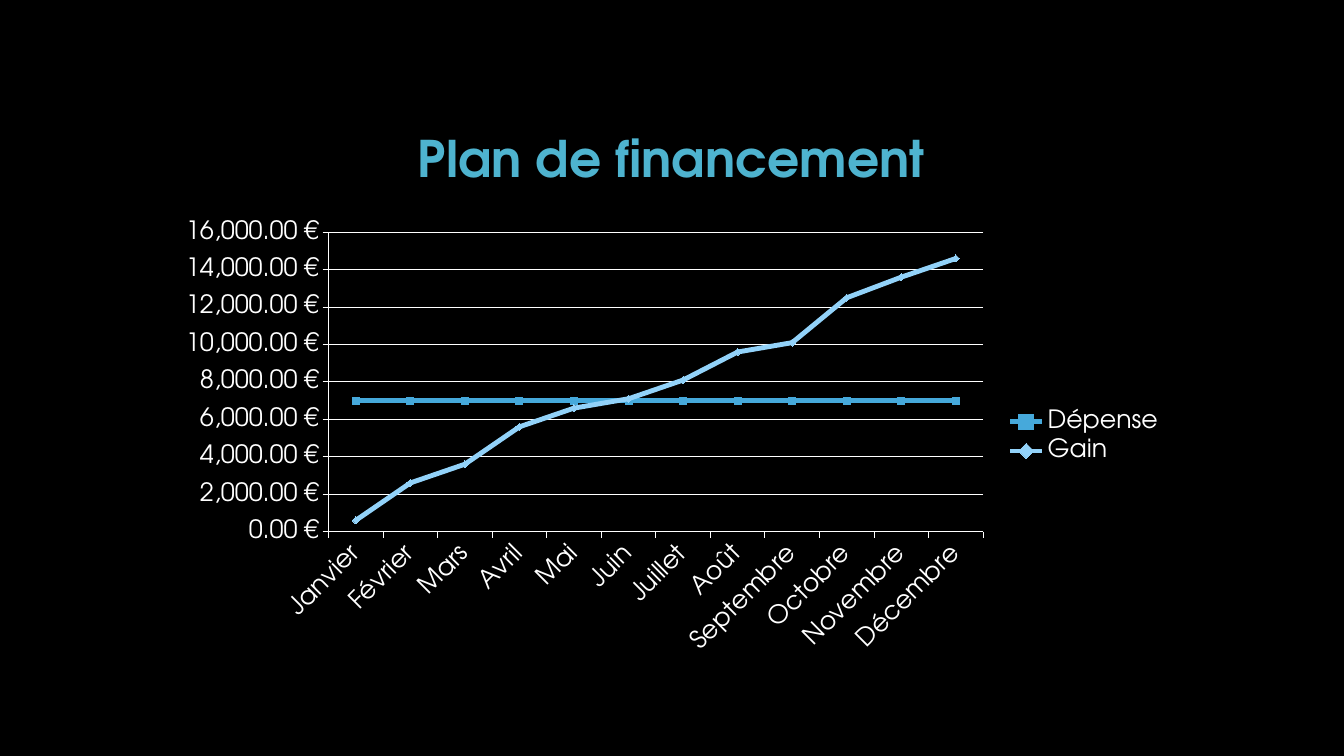
import pptx
import pptx.chart.data
import pptx.dml.color
import pptx.enum.chart
import pptx.enum.text
import pptx.oxml
import pptx.oxml.ns
import pptx.util

TITLE = "Plan de financement"
MONTHS = ["Janvier", "Février", "Mars", "Avril", "Mai", "Juin", "Juillet",
          "Août", "Septembre", "Octobre", "Novembre", "Décembre"]
SERIES = {
    "Dépense": [7000] * len(MONTHS),
    "Gain": [600, 2600, 3600, 5600, 6600, 7100, 8100, 9600, 10100, 12500, 13600, 14600],
}
EURO_FORMAT = '#,##0.00\\ "€";[Red]\\-#,##0.00\\ "€"'

THEME = {
    "font": "TeX Gyre Adventor",
    "background": "000000", "text": "FFFFFF", "title": "4EB3CF",
    "Dépense": "46A9DB", "Gain": "92D2F9",
    "title_size": 36, "chart_size": 18, "line": 3.5, "axis": 0.75, "marker": 5,
}
SLIDE = (13.33, 7.5)
TITLE_BOX = (1.66, 0.42, 10, 1.5)
CHART_BOX = (1.66, 2.08, 9.99, 4.5)
PLOT_SHARES = {"x": 0.16, "y": 0.05, "w": 0.65, "h": 0.66}
MARKERS = {
    "Dépense": pptx.enum.chart.XL_MARKER_STYLE.SQUARE,
    "Gain": pptx.enum.chart.XL_MARKER_STYLE.DIAMOND,
}


def inches(box):
    return [pptx.util.Inches(v) for v in box]


def color(name):
    return pptx.dml.color.RGBColor.from_string(THEME[name])


def paint(fill, name):
    fill.solid()
    fill.fore_color.rgb = color(name)


def stroke(line, name, width):
    paint(line.fill, name)
    line.width = pptx.util.Pt(THEME[width])


def set_font(font, name, size):
    font.name = THEME["font"]
    font.size = pptx.util.Pt(THEME[size])
    font.color.rgb = color(name)


def place_plot(chart):
    """Fix the inner plot area as shares of the chart frame."""
    plot_area = chart.plots[0]._element.getparent()
    for old in plot_area.findall(pptx.oxml.ns.qn("c:layout")):
        plot_area.remove(old)
    modes = "".join(f'<c:{k}Mode val="edge"/>' for k in "xy")
    shares = "".join(f'<c:{k} val="{v}"/>' for k, v in PLOT_SHARES.items())
    plot_area.insert(0, pptx.oxml.parse_xml(
        f'<c:layout {pptx.oxml.ns.nsdecls("c")}><c:manualLayout>'
        f'<c:layoutTarget val="inner"/>{modes}{shares}</c:manualLayout></c:layout>'))


def add_title(s):
    tf = s.shapes.add_textbox(*inches(TITLE_BOX)).text_frame
    tf.word_wrap = True
    tf.vertical_anchor = pptx.enum.text.MSO_ANCHOR.BOTTOM
    p = tf.paragraphs[0]
    p.text = TITLE
    p.alignment = pptx.enum.text.PP_ALIGN.CENTER
    p.line_spacing = 0.9
    p.font.bold = True
    set_font(p.font, "title", "title_size")


def add_finance_chart(s):
    data = pptx.chart.data.CategoryChartData()
    data.categories = MONTHS
    for name, values in SERIES.items():
        data.add_series(name, values)
    chart = s.shapes.add_chart(pptx.enum.chart.XL_CHART_TYPE.LINE_MARKERS,
                               *inches(CHART_BOX), data).chart
    chart.has_title = False
    set_font(chart.font, "text", "chart_size")
    chart.has_legend = True
    chart.legend.position = pptx.enum.chart.XL_LEGEND_POSITION.RIGHT
    chart.legend.include_in_layout = False
    set_font(chart.legend.font, "text", "chart_size")
    place_plot(chart)

    months, euros = chart.category_axis, chart.value_axis
    for axis in (months, euros):
        axis.major_tick_mark = pptx.enum.chart.XL_TICK_MARK.OUTSIDE
        axis.minor_tick_mark = pptx.enum.chart.XL_TICK_MARK.NONE
        stroke(axis.format.line, "text", "axis")
        set_font(axis.tick_labels.font, "text", "chart_size")
    months.has_major_gridlines = False
    months._element.txPr.bodyPr.set("rot", str(-45 * 60000))
    euros.minimum_scale, euros.maximum_scale, euros.major_unit = 0, 16000, 2000
    euros.has_major_gridlines = True
    stroke(euros.major_gridlines.format.line, "text", "axis")
    euros.tick_labels.number_format = EURO_FORMAT
    euros.tick_labels.number_format_is_linked = False

    chart.plots[0].vary_by_categories = False
    for series in chart.plots[0].series:
        series.smooth = False
        stroke(series.format.line, series.name, "line")
        series.marker.style = MARKERS[series.name]
        series.marker.size = THEME["marker"]
        paint(series.marker.format.fill, series.name)
        stroke(series.marker.format.line, series.name, "axis")


def main():
    prs = pptx.Presentation()
    prs.slide_width, prs.slide_height = inches(SLIDE)
    s = prs.slides.add_slide(prs.slide_layouts[6])
    paint(s.background.fill, "background")
    add_finance_chart(s)
    add_title(s)
    prs.save("out.pptx")


if __name__ == "__main__":
    main()
